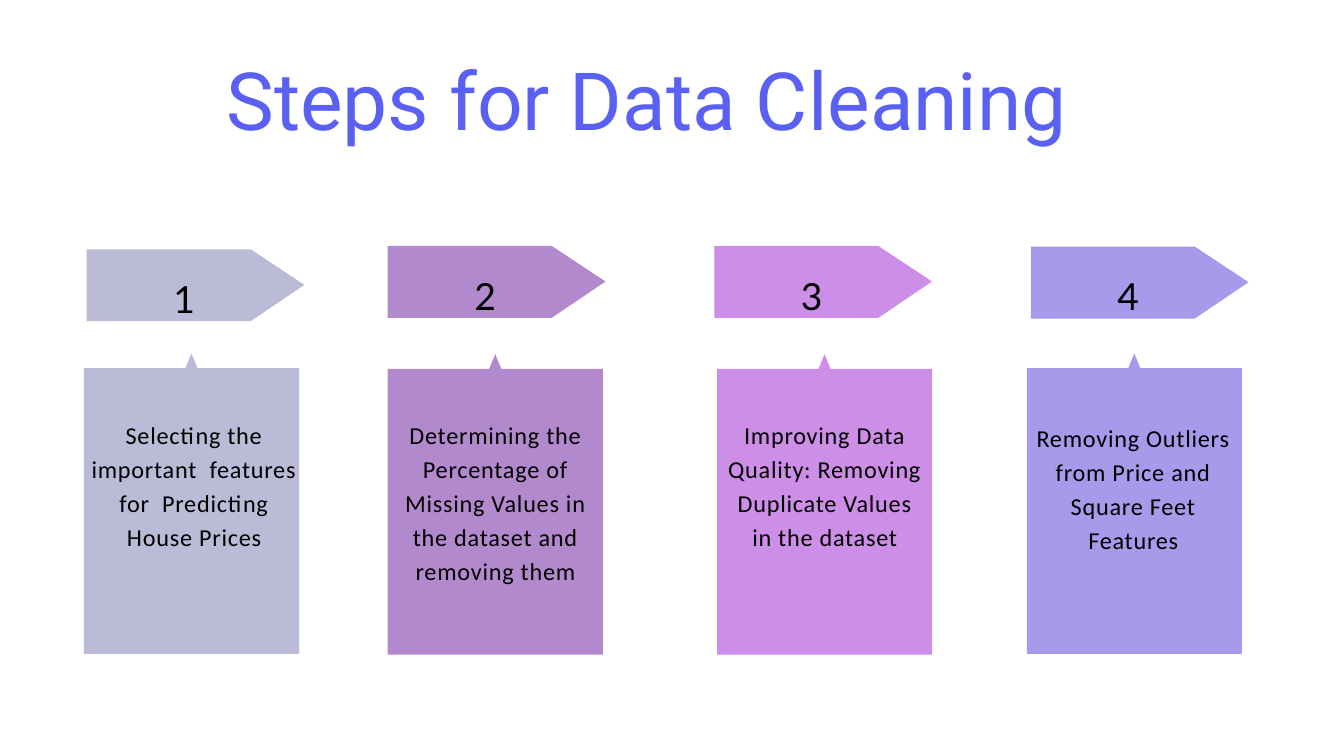
"""Build the slide on the four steps for data cleaning."""
from dataclasses import dataclass

import pptx
import pptx.dml.color
import pptx.enum.text
import pptx.util

Inches = pptx.util.Inches
Pt = pptx.util.Pt
Color = pptx.dml.color.RGBColor
Align = pptx.enum.text.PP_ALIGN
Anchor = pptx.enum.text.MSO_ANCHOR

BLACK = Color(0x00, 0x00, 0x00)
BLUE = Color(0x5A, 0x60, 0xF1)
GRAY = Color(0xBB, 0xBB, 0xD8)
PLUM = Color(0xB3, 0x89, 0xCD)
PINK = Color(0xCC, 0x8E, 0xE6)
LILAC = Color(0xA8, 0x99, 0xEB)

ARROW = [(2.44, 0), (0, 0), (0, 1.07), (2.44, 1.07), (3.24, 0.53)]
CARD = [(3.2, 4.47), (3.2, 0.22), (1.69, 0.22), (1.6, 0),
        (1.51, 0.22), (0, 0.22), (0, 4.47)]


@dataclass
class Box:
    """Place of a text box in inches."""
    left: float
    top: float
    width: float
    height: float


@dataclass
class Style:
    """Look of a text box, with sizes in points."""
    size: float
    lead: float
    font: str
    color: Color = BLACK
    align: Align = Align.CENTER
    anchor: Anchor = Anchor.TOP
    space: float = 0
    inset: float = 0


@dataclass
class Step:
    """One step with its arrow, card and note."""
    color: Color
    arrow: tuple[float, float]
    card: tuple[float, float]
    note: Box
    text: str


NUMBER = Style(40, 56, "Lato", anchor=Anchor.MIDDLE, space=1.2, inset=0.06)
NOTE = Style(26, 36.4, "Calibri", space=0.8)
TITLE = Style(86, 111.8, "Roboto", BLUE, Align.LEFT)

STEPS = [
    Step(GRAY, (1.29, 3.71), (1.25, 5.26), Box(1.25, 6.18, 3.28, 3.49),
         "Selecting the important  features for  Predicting House Prices"),
    Step(PLUM, (5.77, 3.66), (5.77, 5.27), Box(5.93, 6.18, 2.89, 2.99),
         "Determining the Percentage of Missing Values in the dataset "
         "and removing them"),
    Step(PINK, (10.63, 3.66), (10.67, 5.27), Box(10.8, 6.18, 2.95, 2.99),
         "Improving Data Quality: Removing Duplicate Values in the dataset"),
    Step(LILAC, (15.34, 3.67), (15.28, 5.26), Box(15.34, 6.22, 3.05, 2.49),
         "Removing Outliers from Price and Square Feet Features"),
]


def draw_shape(shapes, points: list, place: tuple, color: Color) -> None:
    """Draw a filled outline with its corner at the given place."""
    left, top = place
    spots = [(Inches(left + x), Inches(top + y)) for x, y in points]
    pen = shapes.build_freeform(*spots[0])
    pen.add_line_segments(spots[1:], close=True)
    shape = pen.convert_to_shape()
    shape.shadow.inherit = False
    shape.fill.solid()
    shape.fill.fore_color.rgb = color
    shape.line.fill.background()


def draw_text(shapes, box: Box, text: str, style: Style) -> None:
    """Add a wrapped text box in one style."""
    frame = shapes.add_textbox(Inches(box.left), Inches(box.top),
                               Inches(box.width), Inches(box.height)).text_frame
    frame.word_wrap = True
    frame.vertical_anchor = style.anchor
    frame.margin_left = frame.margin_right = Inches(style.inset)
    frame.margin_top = frame.margin_bottom = Inches(style.inset)
    frame.text = text
    para = frame.paragraphs[0]
    para.alignment = style.align
    para.line_spacing = Pt(style.lead)
    run = para.runs[0]
    run.font.size = Pt(style.size)
    run.font.name = style.font
    run.font.color.rgb = style.color
    if style.space:
        run._r.get_or_add_rPr().set("spc", str(round(style.space * 100)))


def main() -> None:
    """Build and save the slide."""
    deck = pptx.Presentation()
    deck.slide_width, deck.slide_height = Inches(20), Inches(11.25)
    shapes = deck.slides.add_slide(deck.slide_layouts[6]).shapes
    for count, step in enumerate(STEPS, 1):
        group = shapes.add_group_shape().shapes
        left, top = step.arrow
        draw_shape(group, ARROW, step.arrow, step.color)
        draw_text(group, Box(left, top - 0.32, 2.9, 2), str(count), NUMBER)
    for step in STEPS:
        draw_shape(shapes, CARD, step.card, step.color)
    for step in STEPS:
        draw_text(shapes, step.note, step.text, NOTE)
    draw_text(shapes, Box(3.37, 0.63, 12.55, 1.51),
              "Steps for Data Cleaning", TITLE)
    deck.save("out.pptx")


if __name__ == "__main__":
    main()
